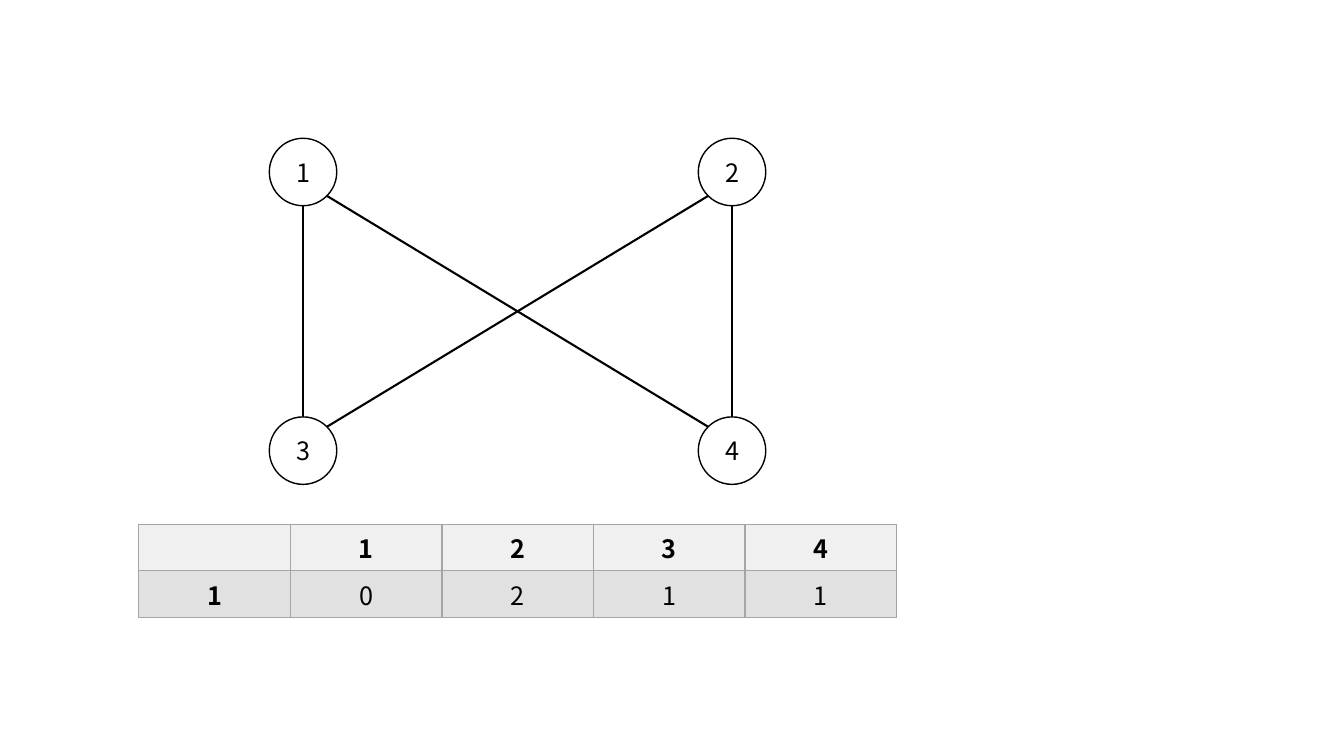
from math import cos, pi, sin

from lxml.etree import SubElement
from pptx import Presentation
from pptx.dml.color import RGBColor
from pptx.enum.shapes import MSO_CONNECTOR, MSO_SHAPE
from pptx.enum.text import MSO_ANCHOR, PP_ALIGN
from pptx.oxml.ns import qn
from pptx.util import Pt

BLACK = RGBColor(0x00, 0x00, 0x00)
WHITE = RGBColor(0xFF, 0xFF, 0xFF)
BORDER_GREY = RGBColor(0xA5, 0xA5, 0xA5)
ROW_FILLS = [RGBColor(0xF0, 0xF0, 0xF0), RGBColor(0xE1, 0xE1, 0xE1)]
FONT = "Noto Sans CJK KR"
FONT_SIZE = 18

# Node label: (column, row) in the graph
NODES = {"1": (0, 0), "2": (1, 0), "3": (0, 1), "4": (1, 1)}
# Node, angle where the edge leaves it, node, angle where it arrives
# (in eighths of a turn, clockwise from the right)
EDGES = [("1", 2, "3", 6), ("1", 1, "4", 5), ("3", 7, "2", 3), ("4", 6, "2", 2)]
DISTANCES = [["", "1", "2", "3", "4"], ["1", "0", "2", "1", "1"]]

FIRST_X, FIRST_Y = 216.5, 122.9
STEP_X, STEP_Y = 306.4, 199
RADIUS = 24.1
TABLE_LEFT, TABLE_TOP = 99.2, 374.4
COLUMN_WIDTH, ROW_HEIGHT = 108.25, 29.5


def style_text(frame, bold=False):
    """Centre the first paragraph and set its font."""
    para = frame.paragraphs[0]
    para.alignment = PP_ALIGN.CENTER
    for span in para.runs:
        span.font.name = FONT
        span.font.size = Pt(FONT_SIZE)
        span.font.bold = bold
        span.font.color.rgb = BLACK


def center(label):
    """Return the centre of a node in points."""
    column, row = NODES[label]
    return FIRST_X + column * STEP_X, FIRST_Y + row * STEP_Y


def rim(label, eighth):
    """Return the point on a node's outline at the given angle."""
    x, y = center(label)
    angle = eighth * pi / 4
    return (Pt(round(x + RADIUS * cos(angle), 2)),
            Pt(round(y + RADIUS * sin(angle), 2)))


def add_node(page, label):
    """Draw a numbered circle."""
    x, y = center(label)
    circle = page.shapes.add_shape(
        MSO_SHAPE.OVAL, Pt(x - RADIUS), Pt(y - RADIUS), Pt(2 * RADIUS), Pt(2 * RADIUS))
    circle.shadow.inherit = False
    circle.fill.solid()
    circle.fill.fore_color.rgb = WHITE
    circle.line.color.rgb = BLACK
    circle.line.width = Pt(1)
    frame = circle.text_frame
    frame.text = label
    frame.vertical_anchor = MSO_ANCHOR.MIDDLE
    style_text(frame)


def add_edge(page, start, leave, end, arrive):
    """Draw a straight line between two nodes."""
    edge = page.shapes.add_connector(
        MSO_CONNECTOR.STRAIGHT, *rim(start, leave), *rim(end, arrive))
    edge.line.color.rgb = BLACK
    edge.line.width = Pt(1.5)
    SubElement(edge.element.spPr, qn("a:effectLst"))


def add_borders(cell):
    """Give a cell a thin grey line on all four sides."""
    properties = cell._tc.get_or_add_tcPr()
    for side in "LRTB":
        line = SubElement(properties, qn(f"a:ln{side}"), w=str(Pt(1)))
        fill = SubElement(line, qn("a:solidFill"))
        SubElement(fill, qn("a:srgbClr"), val=str(BORDER_GREY))


def add_distance_table(page):
    """Add the table of distances from node 1."""
    rows, columns = len(DISTANCES), len(DISTANCES[0])
    table = page.shapes.add_table(
        rows, columns, Pt(TABLE_LEFT), Pt(TABLE_TOP),
        Pt(columns * COLUMN_WIDTH), Pt(rows * ROW_HEIGHT)).table
    for column in table.columns:
        column.width = Pt(COLUMN_WIDTH)
    for r, values in enumerate(DISTANCES):
        for c, value in enumerate(values):
            cell = table.cell(r, c)
            if value:
                cell.text = value
                style_text(cell.text_frame, bold=r == 0 or c == 0)
            add_borders(cell)
            cell.fill.solid()
            cell.fill.fore_color.rgb = ROW_FILLS[r]


deck = Presentation()
deck.slide_width, deck.slide_height = Pt(960), Pt(540)
page = deck.slides.add_slide(deck.slide_layouts[6])
for node in NODES:
    add_node(page, node)
for route in EDGES:
    add_edge(page, *route)
add_distance_table(page)
deck.save("out.pptx")
